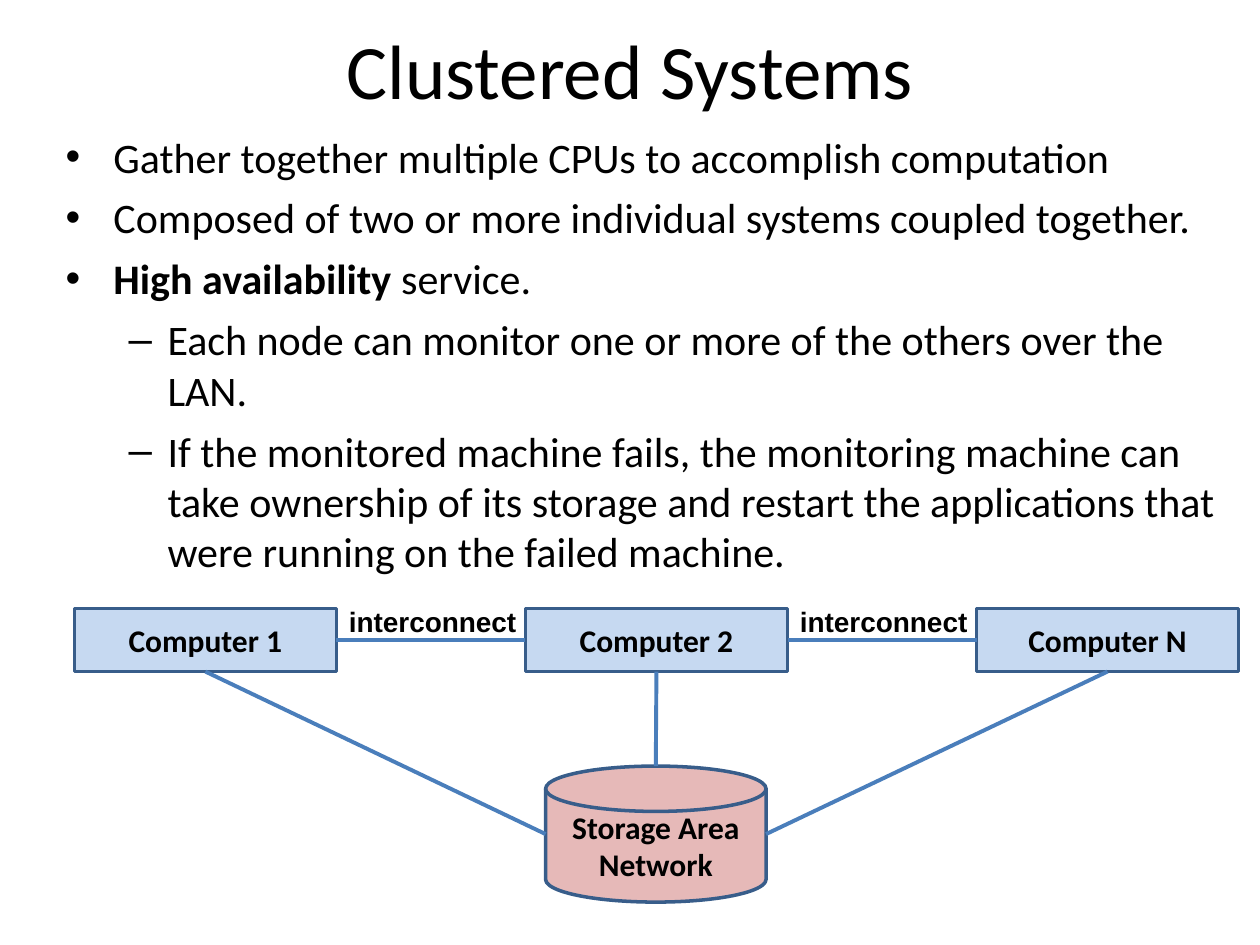
from lxml.etree import SubElement
from pptx import Presentation
from pptx.dml.color import RGBColor
from pptx.enum.shapes import MSO_CONNECTOR as Connector, MSO_SHAPE as Shape
from pptx.enum.text import MSO_ANCHOR as Anchor, MSO_AUTO_SIZE as AutoSize, PP_ALIGN as Align
from pptx.oxml.ns import qn
from pptx.util import Inches, Pt

BLACK = "000000"
OUTLINE = "385D8A"
LINK = "4A7EBB"
TOP, LEFT, BOTTOM, RIGHT = range(4)

# Level, then runs of (text, bold)
POINTS = [
    (0, [("Gather together multiple CPUs to accomplish computation", False)]),
    (0, [("Composed of two or more individual systems coupled together.", False)]),
    (0, [("High availability", True), (" service.", False)]),
    (1, [("Each node can monitor one or more of the others over the LAN.", False)]),
    (1, [("If the monitored machine fails, the monitoring machine can take ownership "
          "of its storage and restart the applications that were running on the "
          "failed machine.", False)]),
]
# Bullet, left margin and hanging indent for each level
LEVELS = [("•", 0.38, -0.38), ("–", 0.81, -0.31)]


def color(value):
    return RGBColor.from_string(value)


def add_text(para, text, size=18, font="Calibri", bold=False, align=None):
    if align is not None:
        para.alignment = align
    span = para.add_run()
    span.text = text
    span.font.size = Pt(size)
    span.font.name = font
    span.font.bold = bold
    span.font.color.rgb = color(BLACK)


def place(shape, left, top, width, height):
    shape.left, shape.top = Inches(left), Inches(top)
    shape.width, shape.height = Inches(width), Inches(height)


def set_bullet(para, level):
    mark, margin, indent = LEVELS[level]
    para.level = level
    props = para._p.get_or_add_pPr()
    props.set("marL", str(Inches(margin)))
    props.set("indent", str(Inches(indent)))
    SubElement(props, qn("a:buFont"), typeface="Arial")
    SubElement(props, qn("a:buChar"), char=mark)


def fill_title(title, text):
    place(title, 0.5, -0.08, 9, 1.25)
    title.text_frame.vertical_anchor = Anchor.MIDDLE
    add_text(title.text_frame.paragraphs[0], text, size=44, align=Align.CENTER)


def fill_body(body):
    place(body, 0.42, 0.99, 9.33, 3.76)
    frame = body.text_frame
    frame.auto_size = AutoSize.NONE
    for index, (level, runs) in enumerate(POINTS):
        para = frame.add_paragraph() if index else frame.paragraphs[0]
        set_bullet(para, level)
        para.space_before = Pt(6 if index else 0)
        for text, bold in runs:
            add_text(para, text, size=24, bold=bold)


def add_node(slide, kind, text, left, top, width, height, fill):
    node = slide.shapes.add_shape(
        kind, Inches(left), Inches(top), Inches(width), Inches(height))
    node.shadow.inherit = False
    node.fill.solid()
    node.fill.fore_color.rgb = color(fill)
    node.line.color.rgb = color(OUTLINE)
    node.line.width = Pt(2)
    node.text_frame.word_wrap = True
    node.text_frame.vertical_anchor = Anchor.MIDDLE
    add_text(node.text_frame.paragraphs[0], text, bold=True, align=Align.CENTER)
    return node


def add_link(slide, start, end):
    """Draw a line between two (x, y) points given in EMU."""
    link = slide.shapes.add_connector(Connector.STRAIGHT, *start, *end)
    link.line.color.rgb = color(LINK)
    link.line.width = Pt(2.25)
    SubElement(link._element.spPr, qn("a:effectLst"))
    return link


def add_label(slide, text, left, top, width, height):
    label = slide.shapes.add_textbox(
        Inches(left), Inches(top), Inches(width), Inches(height))
    label.text_frame.word_wrap = True
    add_text(label.text_frame.paragraphs[0], text, size=16, font="Arial", bold=True)


def add_cluster(slide):
    first_left, top, width, height, pitch = 0.59, 4.83, 2.08, 0.5, 3.58
    lefts = [first_left + pitch * index for index in range(3)]
    computers = [
        add_node(slide, Shape.RECTANGLE, f"Computer {name}", left, top, width, height, "C6D9F1")
        for name, left in zip("12N", lefts)
    ]
    for before, after in zip(computers, computers[1:]):
        middle = before.top + before.height // 2
        link = add_link(slide, (before.left + before.width, middle), (after.left, middle))
        link.begin_connect(before, RIGHT)
        link.end_connect(after, LEFT)

    storage = add_node(slide, Shape.FLOWCHART_MAGNETIC_DISK, "Storage Area Network",
                       4.33, 6.08, 1.75, 1.08, "E6B9B8")
    center = storage.left + storage.width // 2
    middle = storage.top + storage.height // 2
    ends = [(storage.left, middle), (center, storage.top),
            (storage.left + storage.width, middle)]
    for computer, end in zip(computers, ends):
        start = (computer.left + computer.width // 2, computer.top + computer.height)
        add_link(slide, start, end).begin_connect(computer, BOTTOM)

    for left in lefts[:-1]:
        add_label(slide, "interconnect", left + width, 4.75, 1.58, 0.37)


def main():
    deck = Presentation()
    deck.slide_width, deck.slide_height = Inches(10), Inches(7.5)
    slide = deck.slides.add_slide(deck.slide_layouts[1])
    fill_title(slide.shapes.title, "Clustered Systems")
    fill_body(slide.placeholders[1])
    add_cluster(slide)
    deck.save("out.pptx")


if __name__ == "__main__":
    main()
